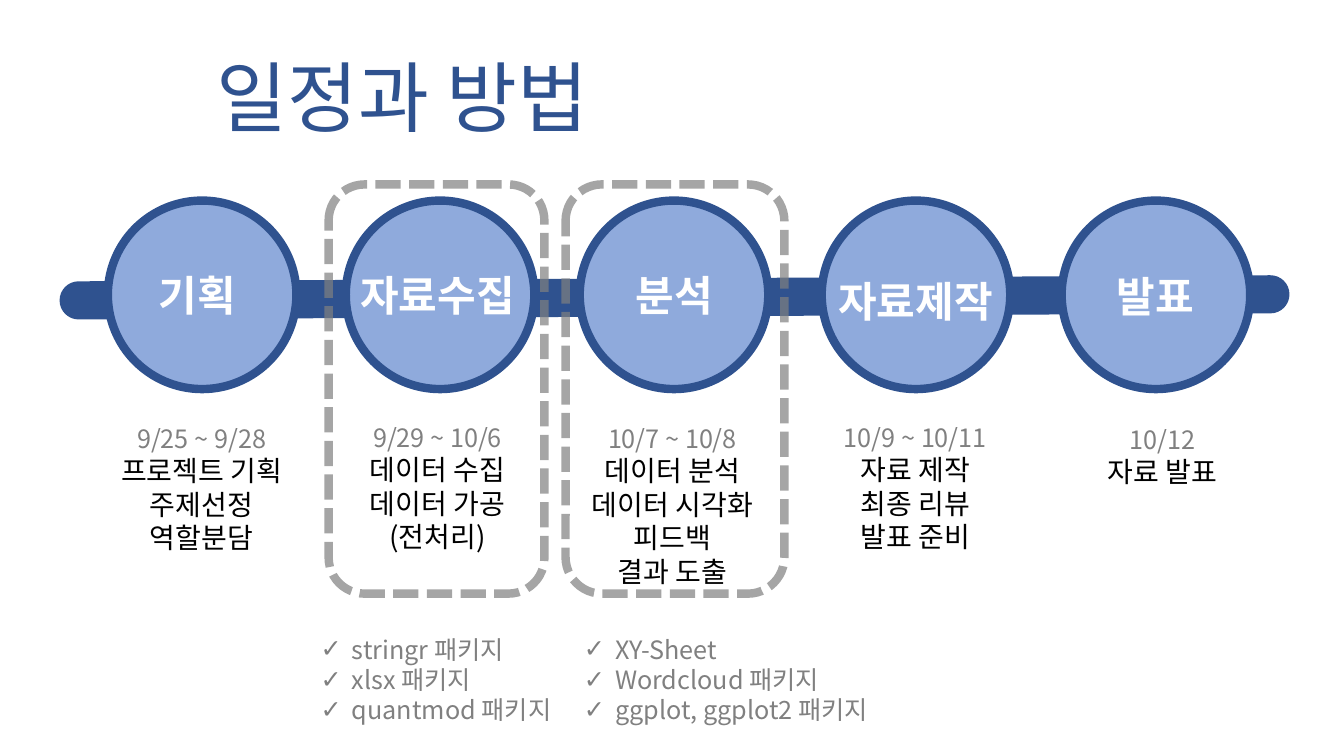
from lxml import etree
from pptx import Presentation
from pptx.dml.color import RGBColor
from pptx.enum.dml import MSO_LINE
from pptx.enum.shapes import MSO_CONNECTOR, MSO_SHAPE
from pptx.enum.text import MSO_ANCHOR, MSO_AUTO_SIZE, PP_ALIGN
from pptx.oxml.ns import qn
from pptx.util import Emu, Pt

PX = 9144
FONT = "Noto Sans CJK KR"
NAVY = RGBColor(0x2F, 0x52, 0x8F)
BLUE = RGBColor(0x8F, 0xAA, 0xDC)
GRAY = RGBColor(0x80, 0x80, 0x80)
WHITE = RGBColor(0xFF, 0xFF, 0xFF)
BLACK = RGBColor(0x00, 0x00, 0x00)
CENTER, LEFT = PP_ALIGN.CENTER, PP_ALIGN.LEFT
TOP, BOTTOM = MSO_ANCHOR.TOP, MSO_ANCHOR.BOTTOM
NO_AUTOFIT = MSO_AUTO_SIZE.NONE
OVAL, ROUNDED = MSO_SHAPE.OVAL, MSO_SHAPE.ROUNDED_RECTANGLE
STRAIGHT = MSO_CONNECTOR.STRAIGHT
SYS_DASH = MSO_LINE.SQUARE_DOT

CIRCLE_TOP, CIRCLE_SIZE = 199, 187
TEXT_WIDTH = 230

STAGES = [
    (200, "기획", 196, 262, 200, 415,
     ["9/25 ~ 9/28", "프로젝트 기획", "주제선정", "역할분담"]),
    (436, "자료수집", 434, 262, 434, 414,
     ["9/29 ~ 10/6", "데이터 수집", "데이터 가공", "(전처리)"]),
    (668, "분석", 669, 262, 667, 415,
     ["10/7 ~ 10/8", "데이터 분석", "데이터 시각화", "피드백", "결과 도출"]),
    (908, "자료제작", 908, 268, 908, 414,
     ["10/9 ~ 10/11", "자료 제작", "최종 리뷰", "발표 준비"]),
    (1146, "발표", 1146, 263, 1153, 416,
     ["10/12", "자료 발표"]),
]
TOOLS = [
    (308, 318, ["stringr 패키지", "xlsx 패키지", "quantmod 패키지"]),
    (569, 329, ["XY-Sheet", "Wordcloud 패키지", "ggplot, ggplot2 패키지"]),
]
HIGHLIGHTS = [(326, 214), (561, 217)]


class Board:
    def __init__(self, slide):
        self.slide = slide
        self.shapes = slide.shapes

    def box(self, *lengths):
        return [Emu(length * PX) for length in lengths]

    def style(self, paragraph, size, color, align=LEFT, bold=False):
        paragraph.alignment = align
        paragraph.space_before = Pt(0)
        font = paragraph.font
        font.name, font.size, font.bold = FONT, Pt(size), bold
        font.color.rgb = color
        defaults = paragraph._p.pPr.find(qn("a:defRPr"))
        etree.SubElement(defaults, qn("a:ea"), typeface=FONT)

    def placeholder(self, index, bounds, lines, size, color, anchor):
        holder = self.slide.placeholders[index]
        holder.left, holder.top, holder.width, holder.height = self.box(*bounds)
        frame = holder.text_frame
        frame.text = "\n".join(lines)
        frame.auto_size = NO_AUTOFIT
        frame.vertical_anchor = anchor
        for paragraph in frame.paragraphs:
            self.style(paragraph, size, color)
        return frame

    def title(self, text, bounds):
        frame = self.placeholder(0, bounds, [text], 55, NAVY, BOTTOM)
        frame.paragraphs[0].line_spacing = 0.9

    def checklist(self, index, bounds, items):
        frame = self.placeholder(index, bounds, items, 18, GRAY, TOP)
        for paragraph in frame.paragraphs:
            properties = paragraph._p.pPr
            properties.set("marL", str(31 * PX))
            properties.set("indent", str(-31 * PX))
            bullet = etree.Element(qn("a:buChar"), char="✓")
            properties.find(qn("a:defRPr")).addprevious(bullet)

    def text(self, center, top, height, lines, styles):
        bounds = self.box(center - TEXT_WIDTH // 2, top, TEXT_WIDTH, height)
        frame = self.shapes.add_textbox(*bounds).text_frame
        frame.word_wrap = True
        frame.text = "\n".join(lines)
        for number, paragraph in enumerate(frame.paragraphs):
            size, color, bold = styles[min(number, len(styles) - 1)]
            self.style(paragraph, size, color, CENTER, bold)

    def track(self, *ends):
        track = self.shapes.add_connector(STRAIGHT, *self.box(*ends))
        track.line.color.rgb = NAVY
        track.line.width = Pt(27.25)
        track.line._get_or_add_ln().set("cap", "rnd")
        etree.SubElement(track._element.spPr, qn("a:effectLst"))

    def outline(self, kind, bounds, color):
        shape = self.shapes.add_shape(kind, *self.box(*bounds))
        shape.shadow.inherit = False
        shape.line.color.rgb = color
        shape.line.width = Pt(6)
        return shape

    def circle(self, center):
        bounds = (center - CIRCLE_SIZE // 2, CIRCLE_TOP, CIRCLE_SIZE, CIRCLE_SIZE)
        circle = self.outline(OVAL, bounds, NAVY)
        circle.fill.solid()
        circle.fill.fore_color.rgb = BLUE

    def highlight(self, left, width):
        frame = self.outline(ROUNDED, (left, 183, width, 406), GRAY)
        frame.fill.background()
        frame.line.dash_style = SYS_DASH
        tint = frame.line._get_or_add_ln().find(".//" + qn("a:srgbClr"))
        etree.SubElement(tint, qn("a:alpha"), val="70000")


def main():
    deck = Presentation()
    deck.slide_width, deck.slide_height = Emu(1333 * PX), Emu(750 * PX)
    board = Board(deck.slides.add_slide(deck.slide_layouts[3]))

    board.title("일정과 방법", (205, 19, 949, 128))
    board.track(78, 298, 1260, 292)
    for center, name, name_x, name_top, tasks_x, tasks_top, tasks in STAGES:
        board.circle(center)
        board.text(name_x, name_top, 61, [name], [(30, WHITE, True)])
        board.text(tasks_x, tasks_top, 175, tasks,
                   [(18, GRAY, False), (20, BLACK, False)])
    for index, (left, width, packages) in enumerate(TOOLS, start=1):
        board.checklist(index, (left, 624, width, 110), packages)
    for left, width in HIGHLIGHTS:
        board.highlight(left, width)

    deck.save("out.pptx")


if __name__ == "__main__":
    main()
